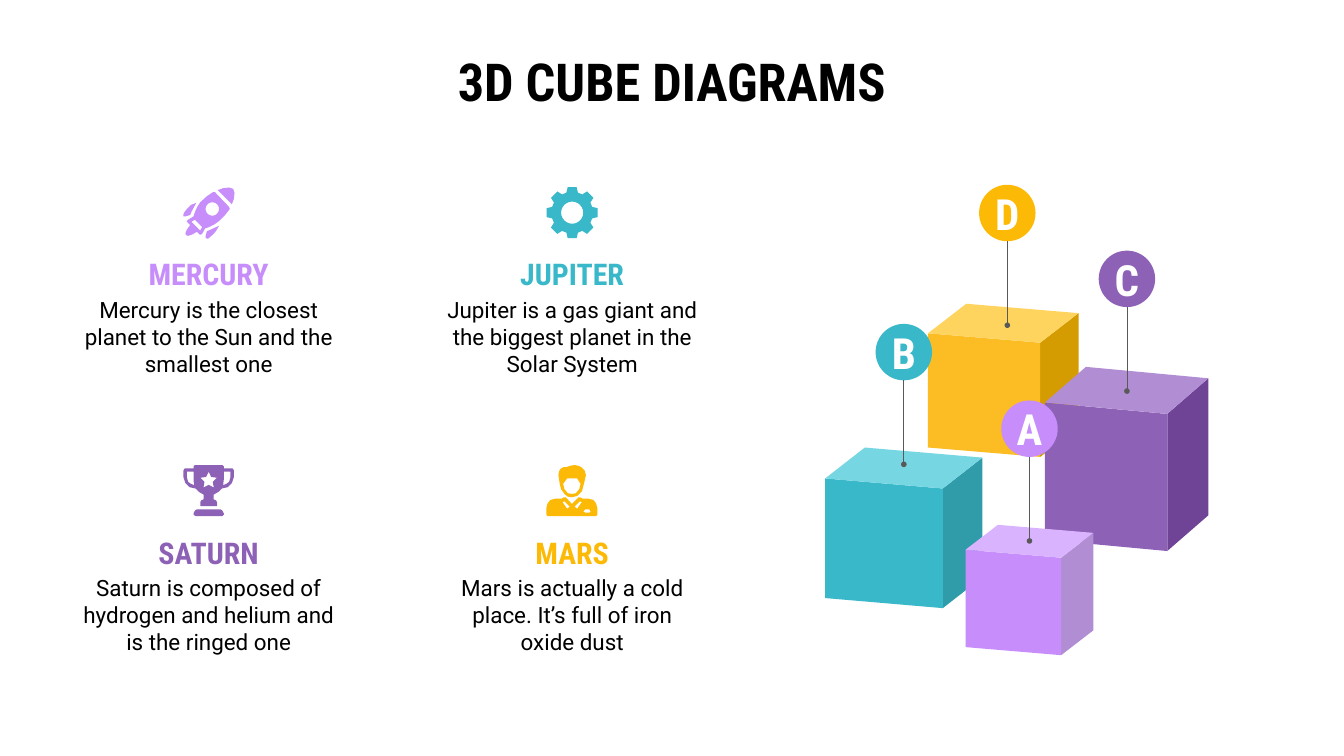
from math import cos, radians, sin

from lxml import etree
from pptx import Presentation
from pptx.dml.color import RGBColor
from pptx.enum import shapes, text
from pptx.oxml import ns
from pptx.util import Inches, Pt

BLACK = RGBColor(0x00, 0x00, 0x00)
WHITE = RGBColor(0xFF, 0xFF, 0xFF)
GREY = RGBColor(0x59, 0x59, 0x59)
LILAC = RGBColor(0xC6, 0x8D, 0xFB)
LILAC_TOP = RGBColor(0xDA, 0xB3, 0xFF)
MAUVE = RGBColor(0xB1, 0x8D, 0xD3)
TEAL = RGBColor(0x38, 0xB8, 0xC8)
TEAL_TOP = RGBColor(0x76, 0xD7, 0xE3)
TEAL_SIDE = RGBColor(0x31, 0x9C, 0xA9)
PLUM = RGBColor(0x8D, 0x61, 0xB6)
PLUM_SIDE = RGBColor(0x6F, 0x44, 0x97)
GOLD = RGBColor(0xFC, 0xBA, 0x06)
GOLD_FRONT = RGBColor(0xFC, 0xBD, 0x24)
GOLD_TOP = RGBColor(0xFF, 0xD4, 0x5E)
GOLD_SIDE = RGBColor(0xD5, 0x9C, 0x01)
HEAD, BODY = "Roboto Condensed", "Roboto"


def polar(x, y, spots):
    return [(x + r * cos(radians(a)), y + r * sin(radians(a))) for r, a in spots]


def disc(x, y, r):
    return polar(x, y, [(r, a) for a in range(0, 360, 15)])


def mirror(ring):
    return [(77 - x, y) for x, y in ring]


ROCKET = [
    [[(45, 8), (36, 14), (26, 23), (21, 31), (18, 38), (16, 44), (8, 49), (6, 51),
      (7, 53), (11, 57), (6, 64), (4, 69), (5, 72), (8, 73), (14, 71), (21, 67),
      (25, 71), (27, 71), (29, 70), (33, 62), (39, 60), (47, 56), (54, 51),
      (63, 42), (70, 33), (69, 30), (48, 8)],
     disc(44, 33, 10), [(18, 49), (29, 60), (26, 65), (13, 52)]],
    [[(69, 1), (60, 2), (52, 5), (73, 26), (76, 18), (77, 9), (75, 3)]],
    [[(54, 58), (41, 64), (36, 66), (34, 73), (34, 76), (36, 77), (38, 77),
      (46, 70), (50, 65)]],
    [[(20, 24), (12, 27), (7, 32), (3, 37), (1, 41), (1, 44), (4, 44), (11, 42),
      (13, 37)]],
]
TOOTH = [(31, -16), (38.5, -10), (38.5, 10), (31, 16)]
GEAR = [[polar(38.5, 38.5, [(r, a + t) for t in range(0, 360, 45) for r, a in TOOTH]),
         disc(38.5, 38.5, 16.5)]]
EAR = [(71, 10), (71, 18), (69, 25), (65, 28), (60, 30), (61, 22), (61, 10)]
CUP = [(59, 0), (61, 2), (61, 5), (74, 5), (76, 8), (76, 18), (73, 27), (67, 33),
       (58, 35), (53, 40), (46, 44), (46, 51), (50, 53), (51, 56), (51, 61)]
STAR = polar(38.5, 23, [(6.5 if i % 2 else 13, 36 * i - 90) for i in range(10)])
TROPHY = [
    [[(21, 66), (18, 68), (16, 72), (16, 74), (19, 76), (59, 76), (61, 74),
      (61, 72), (59, 68), (56, 66)]],
    [CUP + mirror(CUP[::-1]), EAR, mirror(EAR), STAR],
]
PERSON = [
    [[(42, 0), (36, 1), (30, 3), (26, 3), (22, 5), (19, 9), (18, 15), (20, 28),
      (22, 36), (27, 43), (32, 47), (38, 48), (46, 46), (53, 39), (56, 28),
      (59, 15), (57, 8), (52, 3), (47, 1)],
     [(31, 20), (46, 20), (51, 28), (49, 36), (44, 42), (38, 43), (32, 42),
      (27, 36), (25, 28)]],
    [[(26, 48), (23, 50), (14, 50), (6, 52), (2, 57), (0, 64), (0, 74), (2, 76),
      (74, 76), (76, 74), (76, 64), (74, 57), (70, 52), (62, 50), (54, 50),
      (50, 48), (48, 48), (38, 58), (29, 48)],
     [(27, 54), (35, 62), (31, 65), (24, 55)],
     [(50, 54), (53, 55), (46, 65), (42, 62)],
     [(58, 66), (64, 66), (66, 69), (64, 71), (58, 71), (55, 69)]],
]

CARDS = [
    ("MERCURY", "Mercury is the closest planet to the Sun and the smallest one", LILAC, ROCKET),
    ("JUPITER", "Jupiter is a gas giant and the biggest planet in the Solar System", TEAL, GEAR),
    ("SATURN", "Saturn is composed of hydrogen and helium and is the ringed one", PLUM, TROPHY),
    ("MARS", "Mars is actually a cold place. It’s full of iron oxide dust", GOLD, PERSON),
]


def paint(shape, color):
    shape.shadow.inherit = False
    shape.fill.solid()
    shape.fill.fore_color.rgb = color
    shape.line.fill.background()


def write(shape, words, size, font, color, bold=False, pad=0.2):
    frame = shape.text_frame
    frame.text = words
    frame.word_wrap = pad > 0
    frame.auto_size = text.MSO_AUTO_SIZE.NONE
    frame.margin_left = frame.margin_right = Inches(pad)
    frame.margin_top = frame.margin_bottom = Inches(pad)
    frame.vertical_anchor = text.MSO_ANCHOR.TOP if pad else text.MSO_ANCHOR.MIDDLE
    para = frame.paragraphs[0]
    para.alignment = text.PP_ALIGN.CENTER
    run = para.runs[0].font
    run.size, run.name, run.bold = Pt(size), font, bold
    run.color.rgb = color
    return para


def outline(slide, x, y, rings, color, unit=1):
    rings = [[(Inches(x + a * unit), Inches(y + b * unit)) for a, b in ring]
             for ring in rings]
    pen = slide.shapes.build_freeform(*rings[0][0])
    pen.add_line_segments(rings[0][1:])
    for ring in rings[1:]:
        pen.move_to(*ring[0])
        pen.add_line_segments(ring[1:])
    paint(pen.convert_to_shape(), color)


def add_title(slide, x, y, w, h):
    title = slide.shapes.title
    title.left, title.top = Inches(x), Inches(y)
    title.width, title.height = Inches(w), Inches(h)
    write(title, "3D CUBE DIAGRAMS", 56, HEAD, BLACK, True)


def add_cube(slide, x, y, w, h, drop, deep, rise, front, side, top):
    a, b = (0, 0), (w, drop)
    c, d = (w + deep, drop - rise), (deep, -rise)
    down = lambda p: (p[0], p[1] + h)
    outline(slide, x, y, [[c, down(c), down(b), b]], side)
    outline(slide, x, y, [[a, b, down(b), down(a)]], front)
    outline(slide, x, y, [[d, c, b, a]], top)


def add_pin(slide, x, y, letter, color, size=0.84, stem=1.25):
    ball = slide.shapes.add_shape(shapes.MSO_SHAPE.OVAL, Inches(x), Inches(y),
                                  Inches(size), Inches(size))
    paint(ball, color)
    write(ball, letter, 46, HEAD, WHITE, True, 0)
    mid, base = Inches(x + size / 2), y + size
    line = slide.shapes.add_connector(shapes.MSO_CONNECTOR.STRAIGHT, mid,
                                      Inches(base), mid, Inches(base + stem))
    line.line.color.rgb = GREY
    line.line.width = Pt(0.75)
    etree.SubElement(line.line._get_or_add_ln(), ns.qn("a:tailEnd"), type="oval")
    etree.SubElement(line._element.spPr, ns.qn("a:effectLst"))


def add_cubes(slide, x, y):
    add_cube(slide, x + 1.53, y + 2.21, 1.67, 1.7, 0.14, 0.57, 0.44,
             GOLD_FRONT, GOLD_SIDE, GOLD_TOP)
    add_cube(slide, x + 3.27, y + 3.24, 1.82, 2.04, 0.17, 0.61, 0.53,
             PLUM, PLUM_SIDE, MAUVE)
    add_cube(slide, x, y + 4.37, 1.75, 1.78, 0.15, 0.59, 0.46,
             TEAL, TEAL_SIDE, TEAL_TOP)
    add_pin(slide, x + 0.75, y + 2.07, "B", TEAL)
    add_pin(slide, x + 4.07, y + 0.98, "C", PLUM)
    add_pin(slide, x + 2.29, y, "D", GOLD)
    add_cube(slide, x + 2.09, y + 5.43, 1.42, 1.45, 0.12, 0.48, 0.37,
             LILAC, MAUVE, LILAC_TOP)
    add_pin(slide, x + 2.62, y + 3.21, "A", LILAC)


def add_card(slide, x, y, w, name, words, color, icon):
    for rings in icon:
        outline(slide, x + w / 2 - 0.385, y, rings, color, 0.01)
    box = lambda top, h: slide.shapes.add_textbox(Inches(x), Inches(y + top),
                                                  Inches(w), Inches(h))
    write(box(1.43, 1.25), words, 24, BODY, BLACK)
    para = write(box(0.75, 0.84), name, 32, HEAD, color, True)
    para.line_spacing = 1.15
    para.space_after = Pt(32)


def main():
    deck = Presentation()
    deck.slide_width, deck.slide_height = Inches(20), Inches(11.25)
    slide = deck.slides.add_slide(deck.slide_layouts[5])
    add_title(slide, 1, 0.53, 18, 1.25)
    add_cubes(slide, 12.28, 2.75)
    for i, card in enumerate(CARDS):
        add_card(slide, 1 + i % 2 * 5.41, 2.78 + i // 2 * 4.14, 4.21, *card)
    deck.save("out.pptx")


if __name__ == "__main__":
    main()
